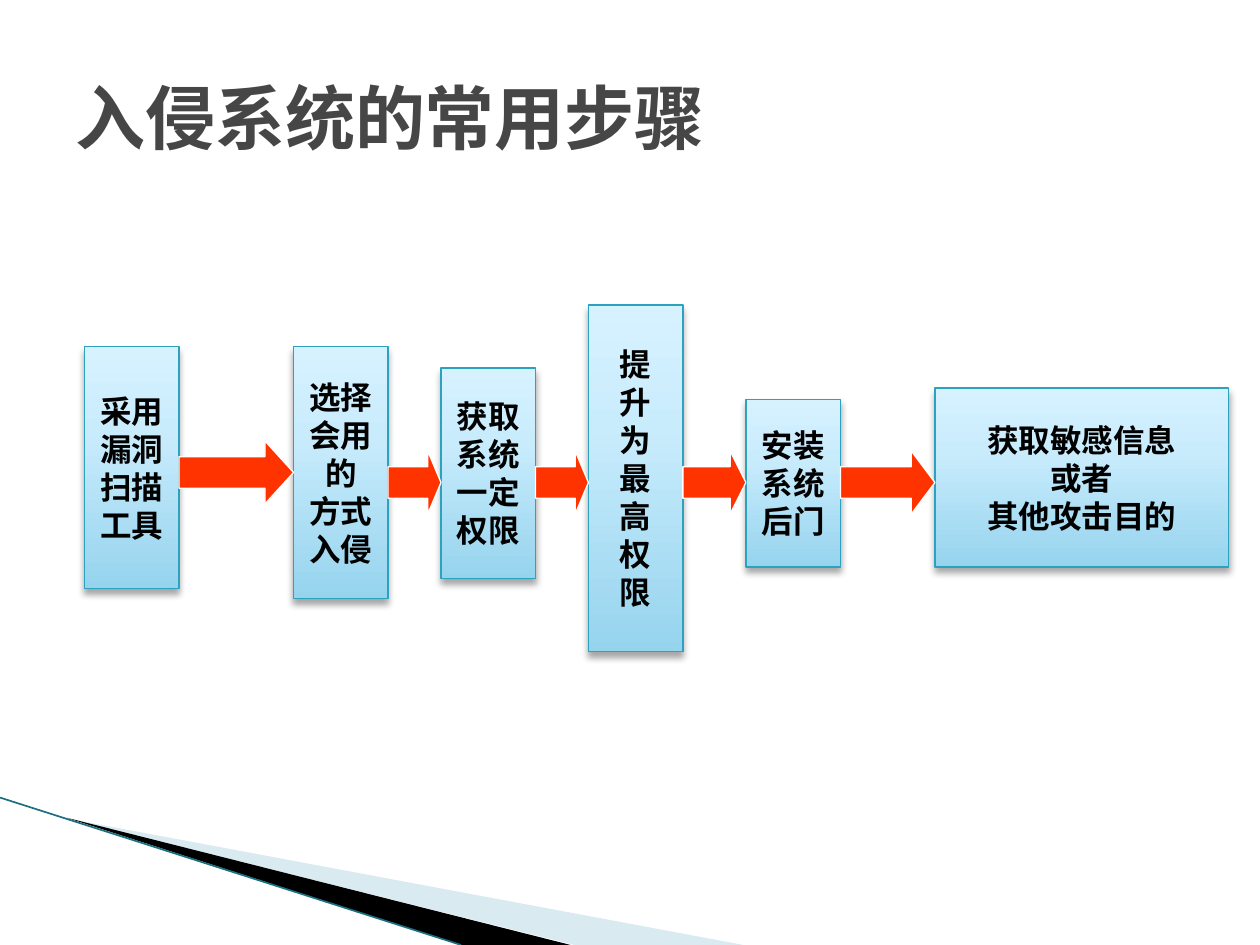
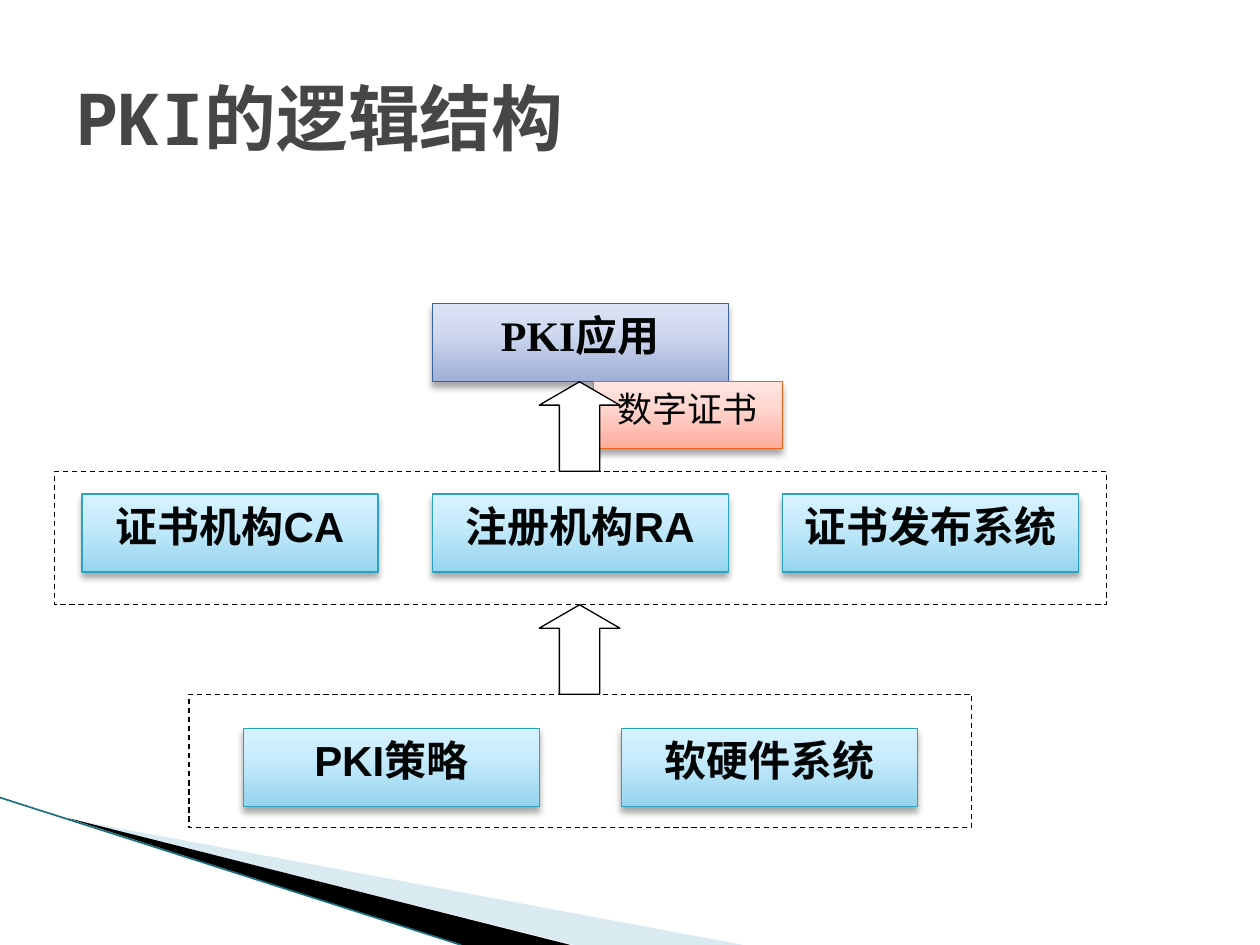
"""Build two slides on system security."""
import dataclasses

import lxml.etree
import pptx
import pptx.dml.color
import pptx.enum.dml
import pptx.enum.shapes
import pptx.enum.text
import pptx.oxml
import pptx.oxml.ns
import pptx.util

Inches = pptx.util.Inches
Pt = pptx.util.Pt
Kind = pptx.enum.shapes.MSO_SHAPE
Align = pptx.enum.text.PP_ALIGN
Anchor = pptx.enum.text.MSO_ANCHOR
qn = pptx.oxml.ns.qn
SPACE = pptx.oxml.ns.nsdecls("a")


@dataclasses.dataclass(frozen=True)
class Theme:
    """Colours, fonts and sizes shared by the slides."""

    white: str = "FFFFFF"
    black: str = "000000"
    title: str = "464646"
    ink: str = "000404"
    pale: str = "D9EAF1"
    edge: str = "1B7080"
    arrow: str = "FF3300"
    aqua: tuple = ("2DA2BF", "96D4EE", "C9ECFC", "D7F2FF")
    blue: tuple = ("39639D", "9FAFD6", "D0D9EF", "DCE3F6")
    coral: tuple = ("EB641B", "FFAC9C", "FFD8D2", "FFE4DF")
    mono: str = "Noto Sans Mono"
    sans: str = "Arial"
    serif: str = "Times New Roman"
    step: int = 18
    lead: float = 21.7
    cert: int = 20
    card: int = 24
    line: float = 0.75


THEME = Theme()


def tint(code):
    """Turn a hex code into a colour."""
    return pptx.dml.color.RGBColor.from_string(code)


def write(frame, lines, size, font, color, bold=True, align=Align.CENTER, lead=None):
    """Fill a text frame with one paragraph for each line."""
    for i, line in enumerate(lines):
        para = frame.paragraphs[0] if i == 0 else frame.add_paragraph()
        para.alignment = align
        if lead:
            para.line_spacing = Pt(lead)
        run = para.add_run()
        run.text = line
        run.font.size = Pt(size)
        run.font.name = font
        run.font.bold = bold
        run.font.color.rgb = tint(color)
        east = lxml.etree.SubElement(run.font._element, qn("a:ea"))
        east.set("typeface", THEME.mono)


def draw(slide, kind, box, fill, line):
    """Add a plain shape with a thin outline."""
    shape = slide.shapes.add_shape(kind, *map(Inches, box))
    shape.shadow.inherit = False
    if fill:
        shape.fill.solid()
        shape.fill.fore_color.rgb = tint(fill)
    shape.line.color.rgb = tint(line)
    shape.line.width = Pt(THEME.line)
    return shape


def glow(slide, box, tones):
    """Add a shaded box with a soft shadow."""
    shape = draw(slide, Kind.RECTANGLE, box, None, tones[0])
    stops = "".join(
        f'<a:gs pos="{pos}"><a:srgbClr val="{tone}"/></a:gs>'
        for pos, tone in zip((0, 65000, 100000), tones[1:])
    )
    props = shape._element.spPr
    props.find(qn("a:prstGeom")).addnext(pptx.oxml.parse_xml(
        f'<a:gradFill {SPACE} rotWithShape="1"><a:gsLst>{stops}</a:gsLst>'
        '<a:lin ang="16200000" scaled="0"/></a:gradFill>'))
    props.find(qn("a:effectLst")).append(pptx.oxml.parse_xml(
        f'<a:outerShdw {SPACE} blurRad="{Pt(4)}" dist="{Pt(3)}" dir="5400000" '
        'rotWithShape="0"><a:srgbClr val="000000"><a:alpha val="35000"/>'
        '</a:srgbClr></a:outerShdw>'))
    return shape


def card(slide, box, label, tones=THEME.aqua, font=THEME.sans,
         size=THEME.card, bold=True):
    """Add a shaded box with a label at its top."""
    frame = glow(slide, box, tones).text_frame
    frame.word_wrap = True
    frame.vertical_anchor = Anchor.TOP
    write(frame, [label], size, font, THEME.ink, bold)


def band(slide):
    """Draw the wedges in the lower left corner."""
    wedges = (
        (THEME.pale, ((0.55, 6.5), (5.9, 7.5), (4.56, 7.5))),
        (THEME.black, ((0.53, 6.49), (4.53, 7.5), (3.66, 7.5))),
    )
    for fill, points in wedges:
        spots = [(Inches(x), Inches(y)) for x, y in points]
        form = slide.shapes.build_freeform(*spots[0])
        form.add_line_segments(spots[1:], close=True)
        wedge = form.convert_to_shape()
        wedge.shadow.inherit = False
        wedge.fill.solid()
        wedge.fill.fore_color.rgb = tint(fill)
        wedge.line.fill.background()
    edge = slide.shapes.add_connector(
        pptx.enum.shapes.MSO_CONNECTOR.STRAIGHT,
        *map(Inches, (0, 6.33, 3.66, 7.5)))
    edge.line.color.rgb = tint(THEME.edge)
    edge.line.width = Pt(0.95)
    lxml.etree.SubElement(edge._element.spPr, qn("a:effectLst"))


def start(deck, title, size):
    """Add a slide with the shared band and title."""
    slide = deck.slides.add_slide(deck.slide_layouts[6])
    band(slide)
    frame = slide.shapes.add_textbox(*map(Inches, (0.5, 0.3, 9, 1.25))).text_frame
    frame.word_wrap = True
    frame.vertical_anchor = Anchor.MIDDLE
    write(frame, [title], size, THEME.mono, THEME.title, align=Align.LEFT)
    return slide


def flow(slide, left, top):
    """Draw the steps and the arrows that join them."""
    steps = (
        (0, 0.33, 0.75, 1.92, "采用 漏洞 扫描 工具"),
        (1.66, 0.33, 0.75, 2, "选择 会用 的 方式 入侵"),
        (2.83, 0.5, 0.75, 1.67, "获取 系统 一定 权限"),
        (4, 0, 0.75, 2.75, "提 升 为 最 高 权 限"),
        (5.25, 0.75, 0.75, 1.33, "安装 系统 后门"),
        (6.75, 0.66, 2.33, 1.42, "获取敏感信息 或者 其他攻击目的"),
    )
    for x, y, wide, high, words in steps:
        frame = glow(slide, (left + x, top + y, wide, high), THEME.aqua).text_frame
        frame.word_wrap = False
        frame.vertical_anchor = Anchor.MIDDLE
        write(frame, words.split(), THEME.step, THEME.mono, THEME.black,
              lead=THEME.lead)
    for i, (here, after) in enumerate(zip(steps, steps[1:])):
        x = here[0] + here[2]
        gap = after[0] - x
        y = 1.16 if i else 1.08
        arrow = draw(slide, Kind.RIGHT_ARROW, (left + x, top + y, gap, 0.5),
                     THEME.arrow, THEME.white)
        arrow.adjustments[1] = max(0.25, gap / 2)


def tier(slide, box, labels, inset, drop, pitch):
    """Draw a dashed frame around a row of cards."""
    frame = draw(slide, Kind.RECTANGLE, box, THEME.white, THEME.black)
    frame.line.dash_style = pptx.enum.dml.MSO_LINE.DASH
    for i, label in enumerate(labels):
        spot = (box[0] + inset + i * pitch, box[1] + drop, 2.35, 0.62)
        card(slide, spot, label)


def stack(slide, left, top):
    """Draw the layers from policy up to use."""
    tier(slide, (left + 1.07, top + 3.1, 6.21, 1.06),
         ("PKI策略", "软硬件系统"), 0.43, 0.27, 3)
    tier(slide, (left, top + 1.33, 8.35, 1.06),
         ("证书机构CA", "注册机构RA", "证书发布系统"), 0.22, 0.18, 2.78)
    card(slide, (left + 3, top, 2.35, 0.62), "PKI应用", THEME.blue, THEME.serif)
    card(slide, (left + 4.28, top + 0.62, 1.5, 0.53), "数字证书", THEME.coral,
         THEME.serif, THEME.cert, False)
    for y in (0.62, 2.39):
        arrow = draw(slide, Kind.UP_ARROW, (left + 3.85, top + y, 0.64, 0.71),
                     THEME.white, THEME.black)
        arrow.adjustments[1] = 0.29


def main():
    """Build and save the deck."""
    deck = pptx.Presentation()
    deck.slide_width = Inches(10)
    deck.slide_height = Inches(7.5)
    flow(start(deck, "入侵系统的常用步骤", 40), 0.67, 2.42)
    stack(start(deck, "PKI的逻辑结构", 41), 0.43, 2.41)
    deck.save("out.pptx")


if __name__ == "__main__":
    main()
